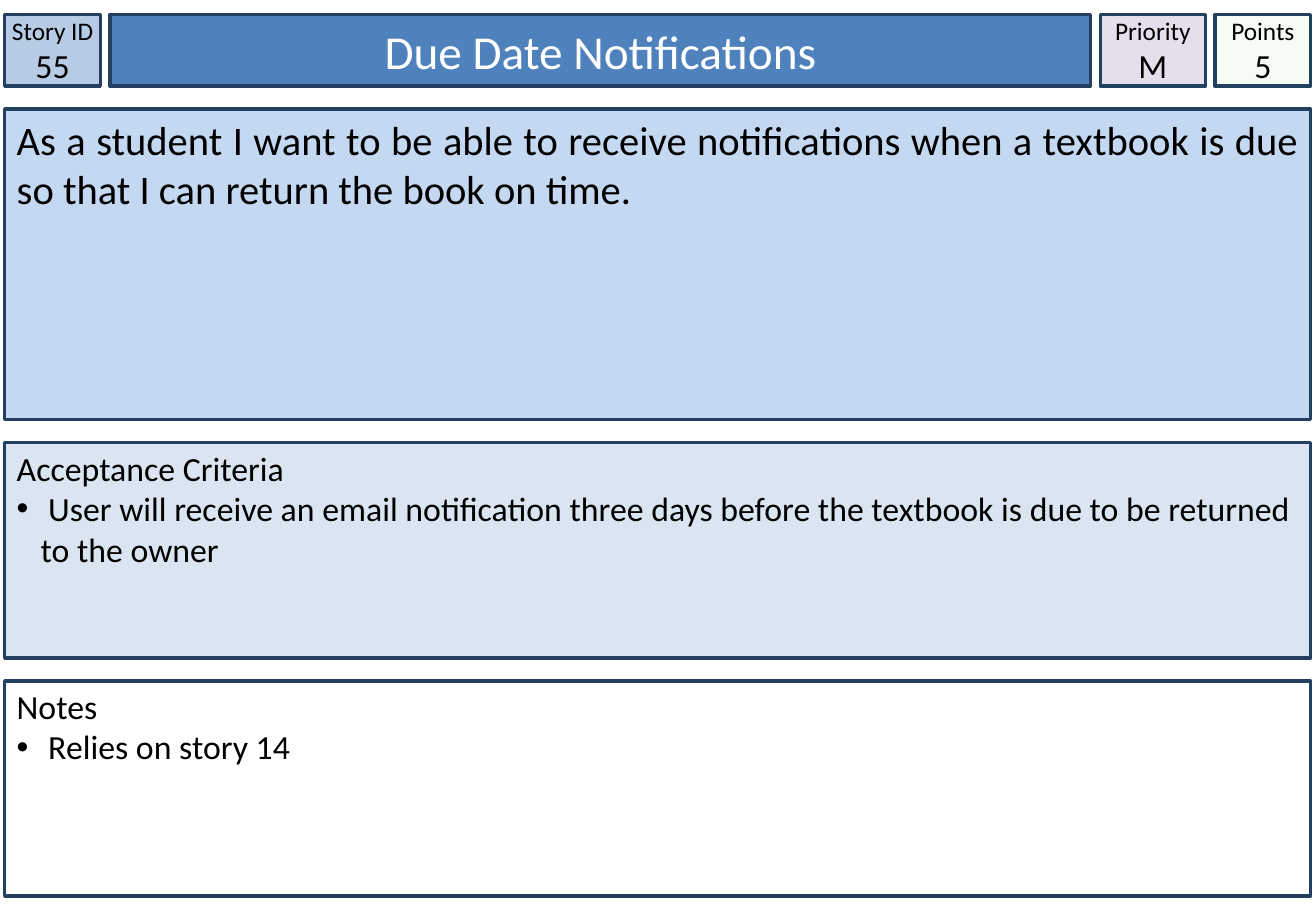
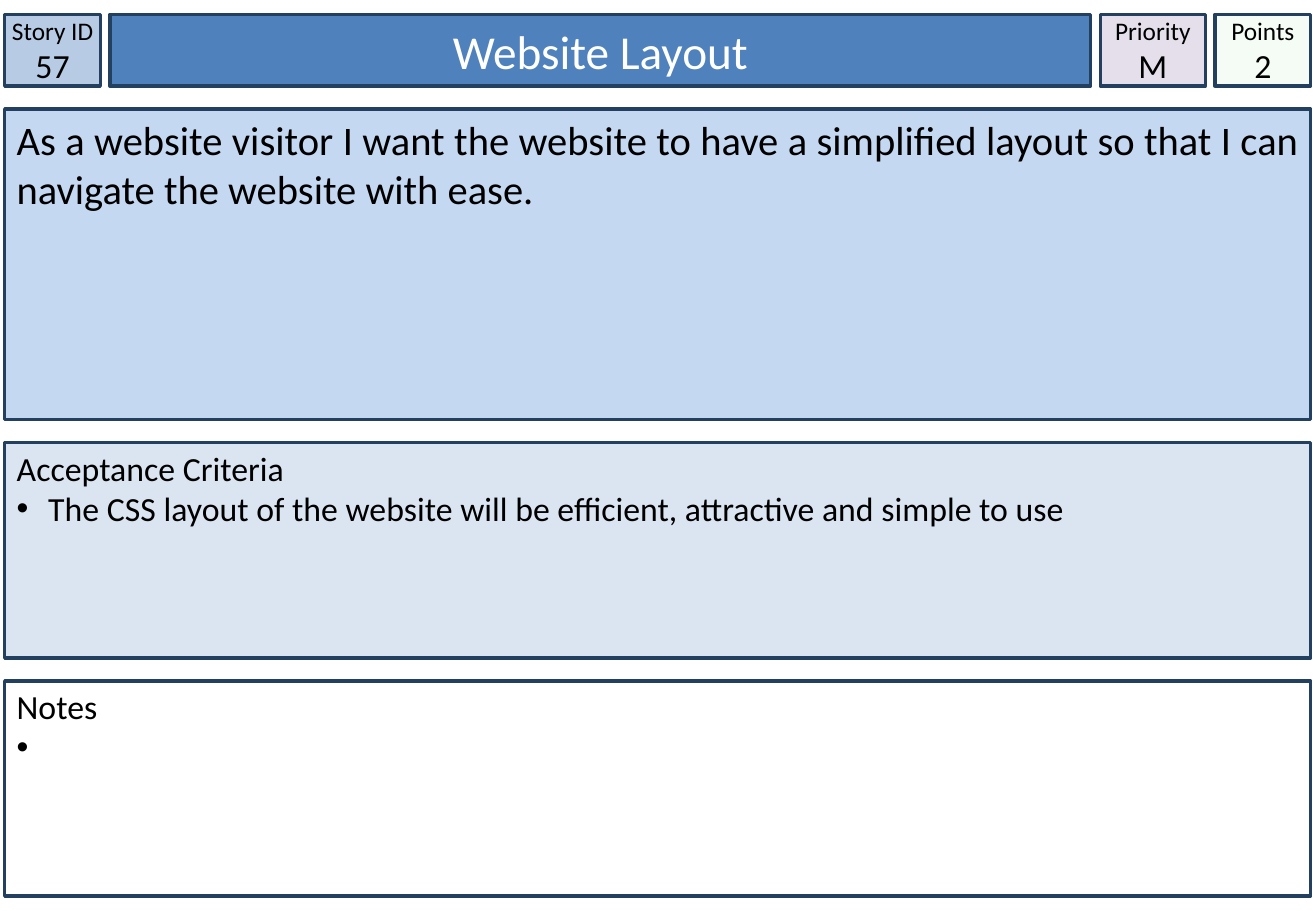
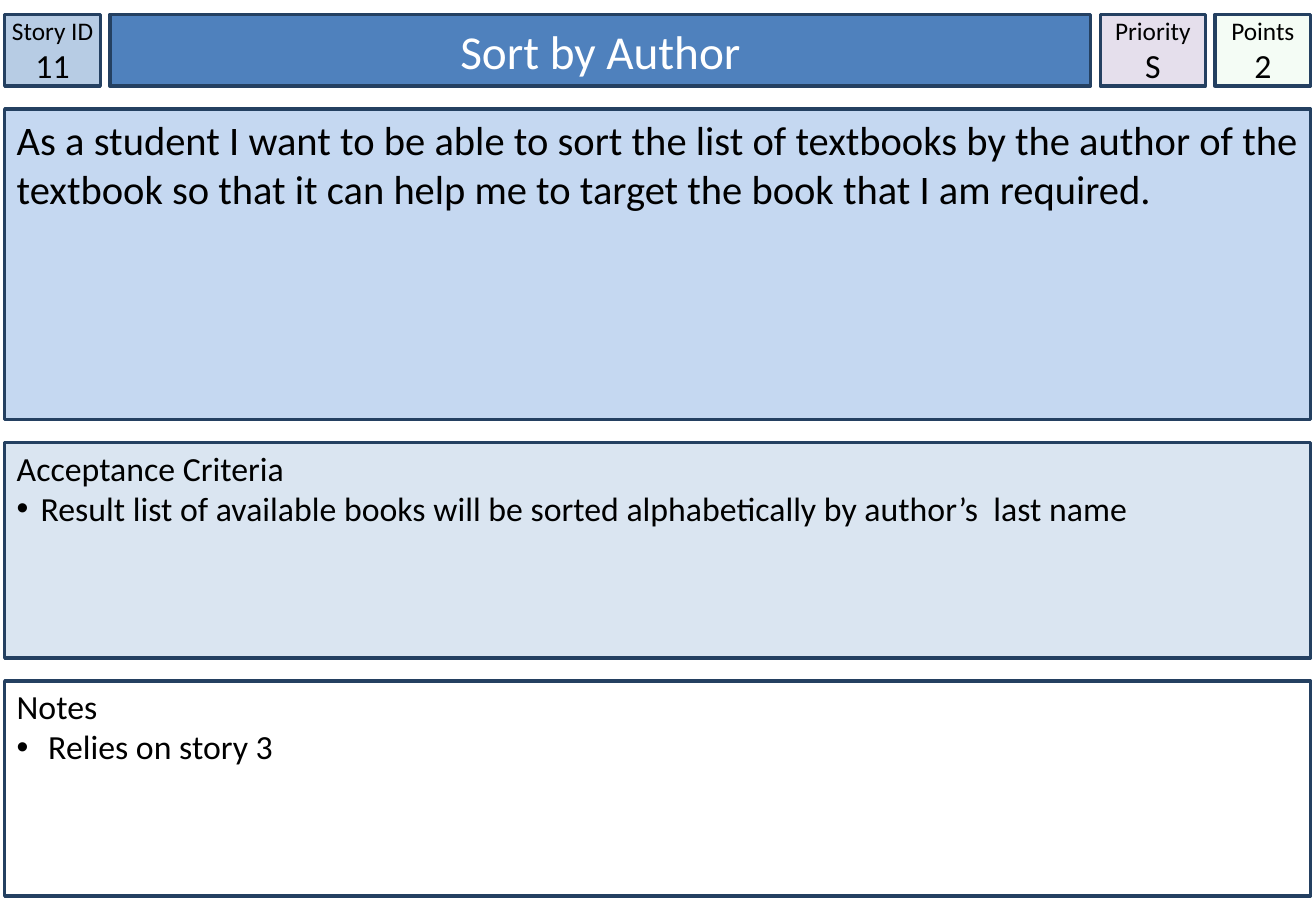
"""Build a deck of user story cards."""
from dataclasses import dataclass

from lxml import etree
from pptx import Presentation, util as u
from pptx.dml.color import RGBColor
from pptx.enum import shapes, text
from pptx.oxml import ns


@dataclass(frozen=True)
class Theme:
    """Colours, type sizes and spacing shared by all cards."""
    font: str = "Calibri"
    ink: str = "000000"
    title_ink: str = "FFFFFF"
    border: str = "244061"
    story_id: str = "B7CCE4"
    title: str = "4F81BD"
    priority: str = "E5DFEC"
    points: str = "CCF0CD"
    points_opacity: int = 20
    story: str = "C5D8F1"
    criteria: str = "DAE5F1"
    notes: str = "FFFFFF"
    label_size: int = 15
    body_size: int = 20
    story_size: int = 24
    title_size: int = 28
    border_width: float = 2
    margin: float = 0.1
    top: float = 0.3
    header_height: float = 1.5
    column_gap: float = 0.2
    row_gap: float = 0.48
    panel_width: float = 27.3
    indent: float = 0.5


@dataclass(frozen=True)
class Story:
    """Wording of one card."""
    number: str
    title: str
    priority: str
    points: str
    wish: str
    criterion: str
    note: str


THEME = Theme()
STORIES = (
    Story("55", "Due Date Notifications", "M", "5",
          "As a student I want to be able to receive notifications when a "
          "textbook is due so that I can return the book on time.",
          " User will receive an email notification three days before the "
          "textbook is due to be returned to the owner",
          " Relies on story 14"),
    Story("57", "Website Layout", "M", "2",
          "As a website visitor I want the website to have a simplified layout "
          "so that I can navigate the website with ease.",
          " The CSS layout of the website will be efficient, attractive and "
          "simple to use",
          " "),
    Story("11", "Sort by Author", "S", "2",
          "As a student I want to be able to sort the list of textbooks by the "
          "author of the textbook so that it can help me to target the book "
          "that I am required.",
          "Result list of available books will be sorted alphabetically by "
          "author’s  last name",
          " Relies on story 3"),
)


def add_box(page, left, top, width, height, fill, inset=(0.25, 0.13), middle=False):
    """Draw a bordered rectangle ready for text."""
    box = page.shapes.add_shape(
        shapes.MSO_SHAPE.RECTANGLE, *map(u.Cm, (left, top, width, height)))
    box.shadow.inherit = False
    box.fill.solid()
    box.fill.fore_color.rgb = RGBColor.from_string(fill)
    box.line.color.rgb = RGBColor.from_string(THEME.border)
    box.line.width = u.Pt(THEME.border_width)
    frame = box.text_frame
    frame.word_wrap = True
    frame.margin_left = frame.margin_right = u.Cm(inset[0])
    frame.margin_top, frame.margin_bottom = u.Cm(inset[1]), u.Cm(0.13)
    frame.vertical_anchor = text.MSO_ANCHOR.MIDDLE if middle else text.MSO_ANCHOR.TOP
    return box


def set_opacity(box, percent):
    """Make the fill of a box partly transparent."""
    colour = box.fill.fore_color._xFill[0]
    etree.SubElement(colour, ns.qn("a:alpha"), val=str(percent * 1000))


def write(para, words, size, align=text.PP_ALIGN.LEFT, ink=THEME.ink):
    """Add one run to a paragraph."""
    para.alignment = align
    span = para.add_run()
    span.text = words
    span.font.name = THEME.font
    span.font.size = u.Pt(size)
    span.font.color.rgb = RGBColor.from_string(ink)


def add_bullet(para):
    """Give a paragraph a hanging round bullet."""
    props = para._p.get_or_add_pPr()
    props.set("marL", str(u.Cm(THEME.indent)))
    props.set("indent", str(-u.Cm(THEME.indent)))
    colour = etree.SubElement(props, ns.qn("a:buClr"))
    etree.SubElement(colour, ns.qn("a:srgbClr"), val=THEME.ink)
    etree.SubElement(props, ns.qn("a:buFont"), typeface="Arial")
    etree.SubElement(props, ns.qn("a:buChar"), char="•")


def add_badge(page, left, width, fill, label, value):
    """Draw a small header box with a label above its value."""
    box = add_box(page, left, THEME.top, width, THEME.header_height, fill,
                  (0, 0.13), middle=True)
    frame = box.text_frame
    write(frame.paragraphs[0], label, THEME.label_size, text.PP_ALIGN.CENTER)
    write(frame.add_paragraph(), value, THEME.body_size, text.PP_ALIGN.CENTER)
    return box


def add_title(page, left, width, words):
    """Draw the title band of a card."""
    box = add_box(page, left, THEME.top, width, THEME.header_height, THEME.title,
                  middle=True)
    write(box.text_frame.paragraphs[0], words, THEME.title_size,
          text.PP_ALIGN.CENTER, THEME.title_ink)


def add_story(page, top, height, words):
    """Draw the panel that holds the user story."""
    box = add_box(page, THEME.margin, top, THEME.panel_width, height, THEME.story)
    write(box.text_frame.paragraphs[0], words, THEME.story_size,
          text.PP_ALIGN.JUSTIFY)


def add_list(page, top, height, fill, heading, item):
    """Draw a panel with a heading and a bulleted item."""
    box = add_box(page, THEME.margin, top, THEME.panel_width, height, fill,
                  (0.25, 0.1))
    frame = box.text_frame
    write(frame.paragraphs[0], heading, THEME.body_size)
    para = frame.add_paragraph()
    write(para, item, THEME.body_size)
    add_bullet(para)


def offsets(start, lengths, gap):
    """Return the start of each length laid out with equal gaps."""
    return [start + sum(lengths[:i]) + i * gap for i in range(len(lengths))]


def add_card(deck, story):
    """Add a slide with one story card."""
    page = deck.slides.add_slide(deck.slide_layouts[6])
    widths = (2, 20.5, 2.2, 2)
    id_left, title_left, priority_left, points_left = offsets(
        THEME.margin, widths, THEME.column_gap)
    heights = (THEME.header_height, 6.5, 4.5, 4.5)
    _, story_top, criteria_top, notes_top = offsets(
        THEME.top, heights, THEME.row_gap)

    add_badge(page, id_left, widths[0], THEME.story_id, "Story ID", story.number)
    add_title(page, title_left, widths[1], story.title)
    add_badge(page, priority_left, widths[2], THEME.priority, "Priority",
              story.priority)
    points = add_badge(page, points_left, widths[3], THEME.points, "Points",
                       story.points)
    set_opacity(points, THEME.points_opacity)
    add_story(page, story_top, heights[1], story.wish)
    add_list(page, criteria_top, heights[2], THEME.criteria,
             "Acceptance Criteria", story.criterion)
    add_list(page, notes_top, heights[3], THEME.notes, "Notes", story.note)


def main():
    """Build and save the deck."""
    deck = Presentation()
    deck.slide_width, deck.slide_height = u.Cm(27.51), u.Cm(19.05)
    for story in STORIES:
        add_card(deck, story)
    deck.save("out.pptx")


if __name__ == "__main__":
    main()
